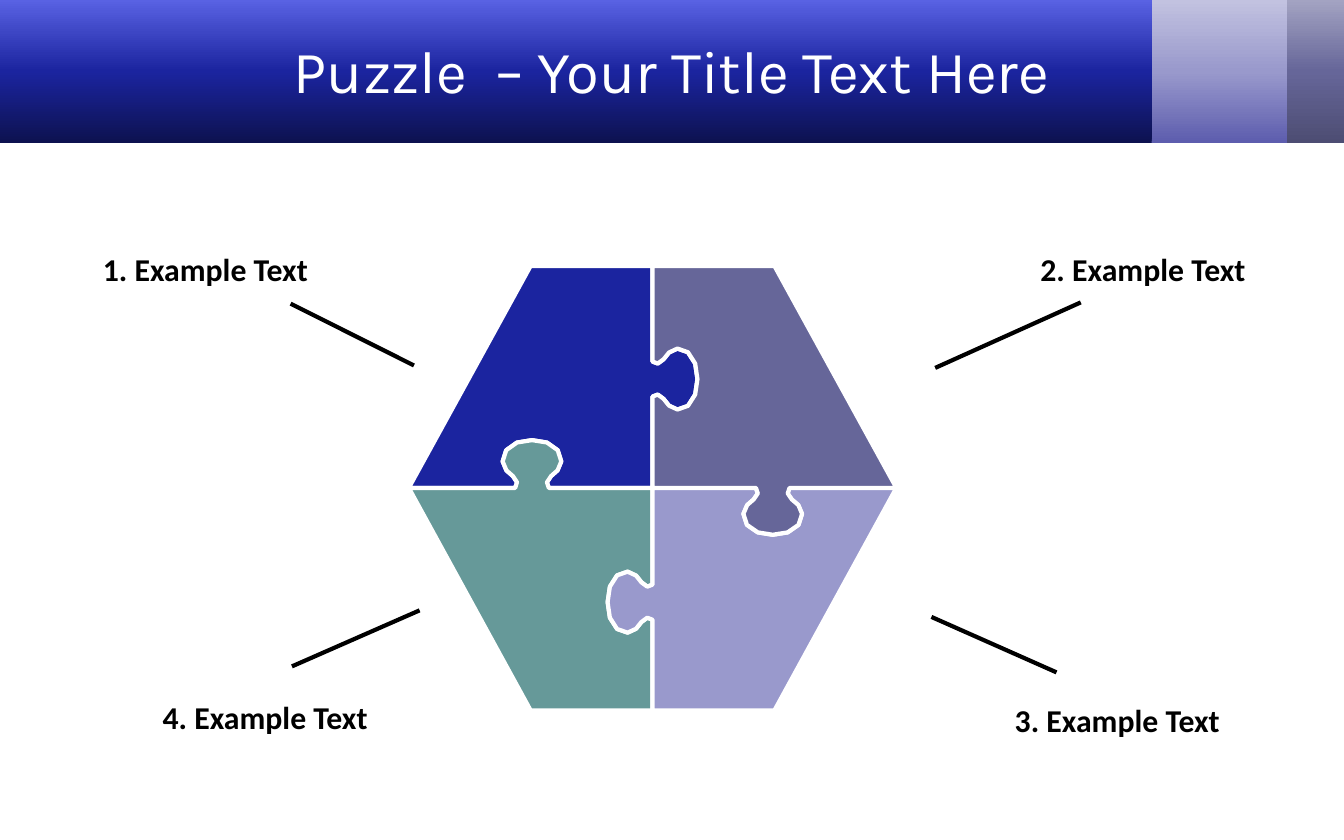
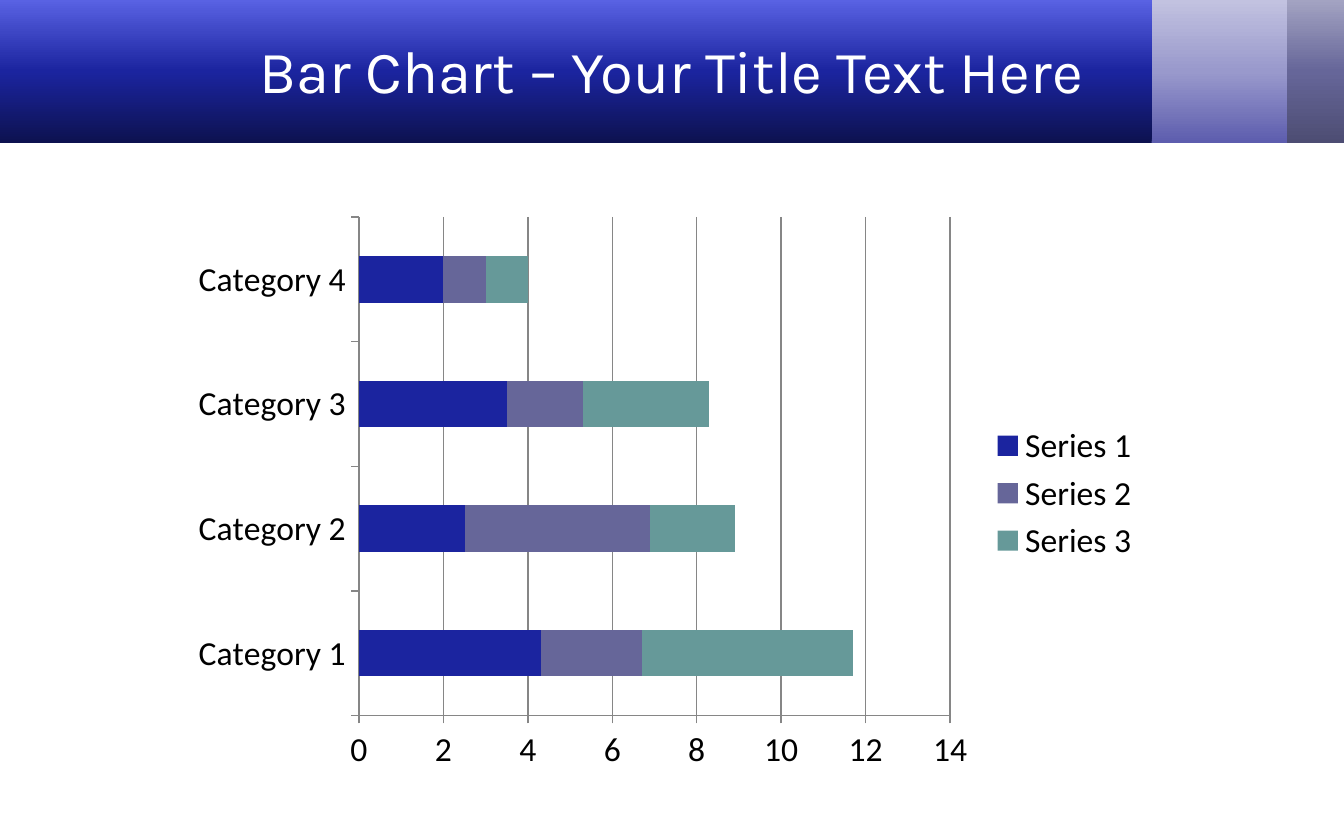
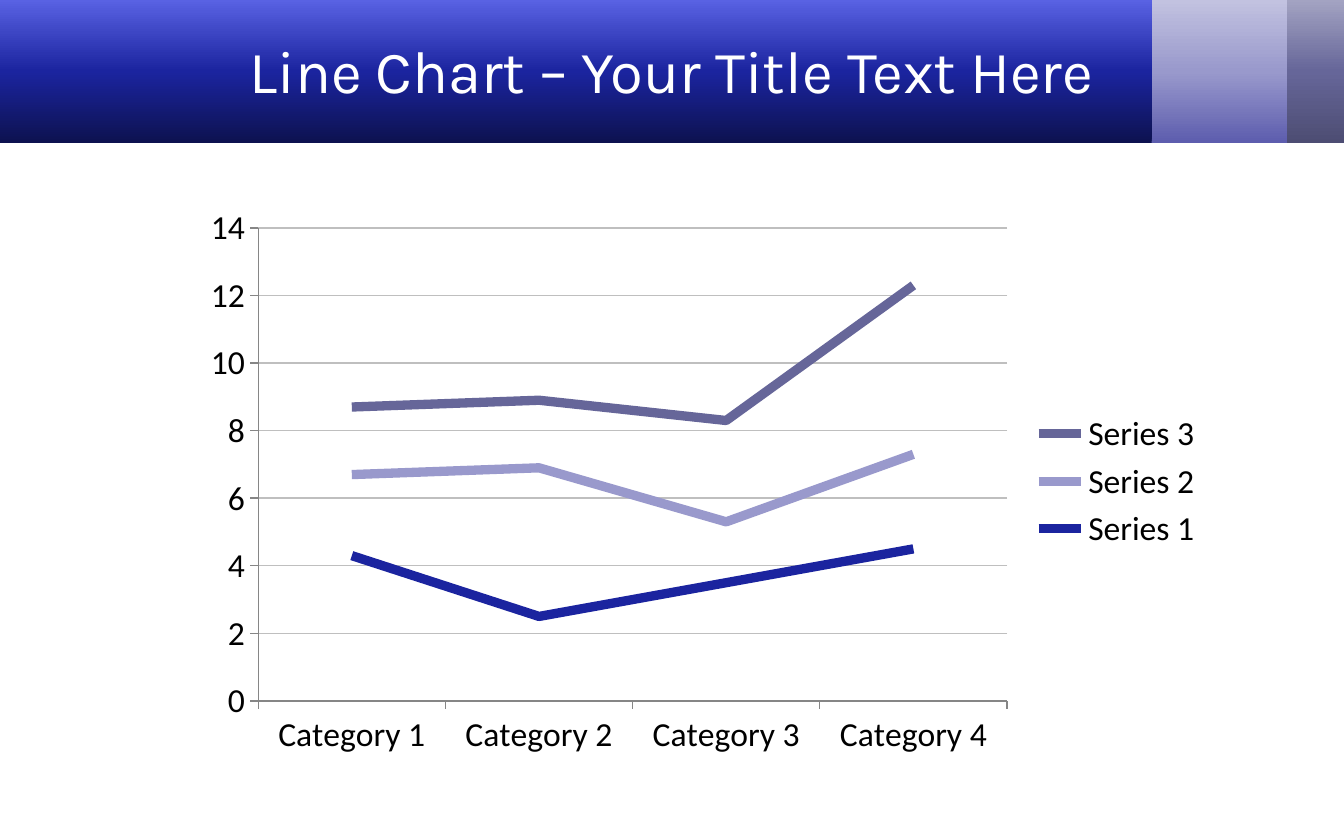
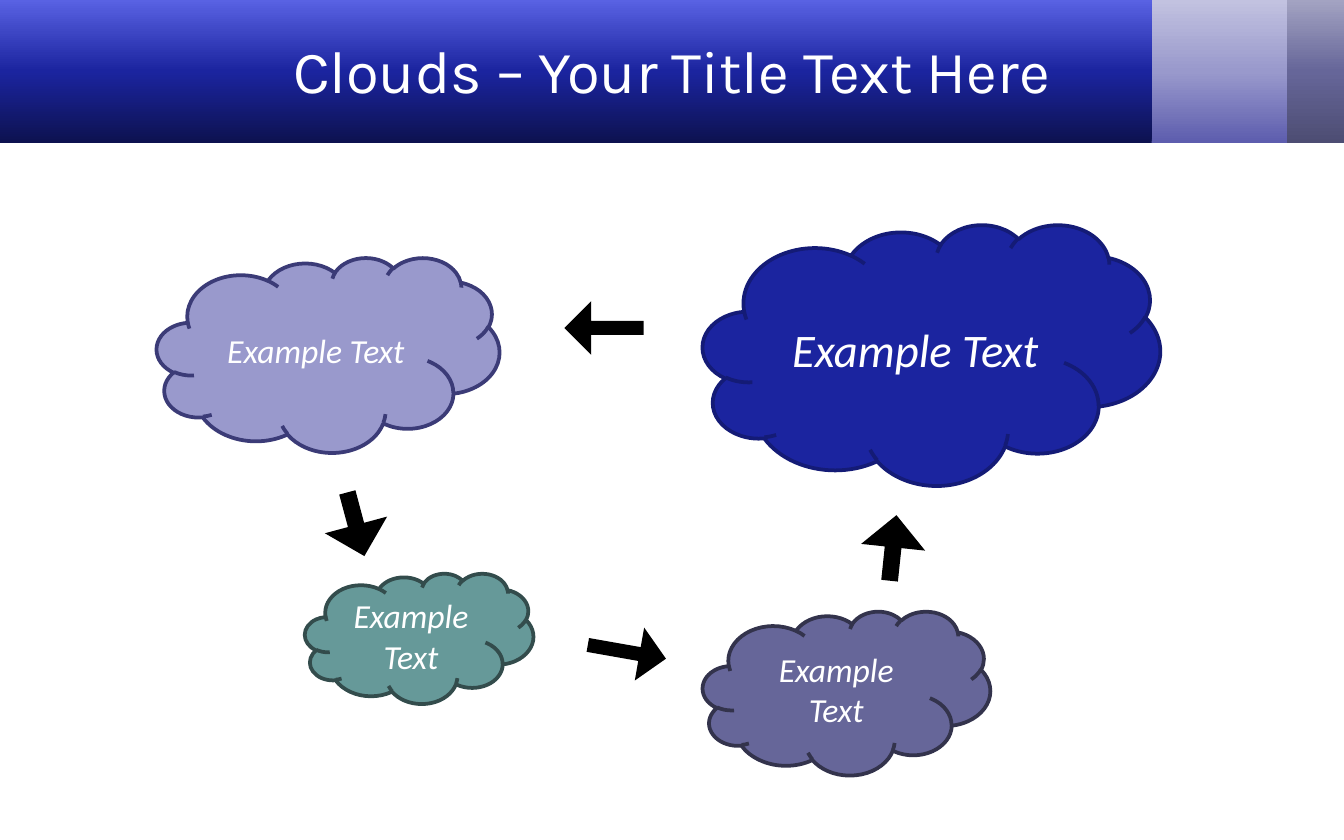
import copy

import pptx
import pptx.chart.data
import pptx.dml.color
import pptx.enum.chart
import pptx.enum.shapes
import pptx.enum.text
import pptx.oxml.ns
import pptx.util
from lxml import etree

Pt = pptx.util.Pt
RGBColor = pptx.dml.color.RGBColor
Shape = pptx.enum.shapes.MSO_SHAPE
Align = pptx.enum.text.PP_ALIGN
ChartType = pptx.enum.chart.XL_CHART_TYPE

BLACK = RGBColor(0x00, 0x00, 0x00)
WHITE = RGBColor(0xFF, 0xFF, 0xFF)
NAVY = RGBColor(0x1B, 0x24, 0x9F)
SLATE = RGBColor(0x66, 0x66, 0x99)
LAVENDER = RGBColor(0x99, 0x99, 0xCC)
TEAL = RGBColor(0x66, 0x99, 0x99)
NAVY_EDGE = RGBColor(0x14, 0x1B, 0x76)
SLATE_EDGE = RGBColor(0x33, 0x33, 0x4C)
LAVENDER_EDGE = RGBColor(0x3B, 0x3B, 0x77)
TEAL_EDGE = RGBColor(0x33, 0x4C, 0x4C)
NAVY_DARK = RGBColor(0x0D, 0x12, 0x50)
NAVY_LIGHT = RGBColor(0x59, 0x62, 0xE3)
LAVENDER_DARK = RGBColor(0x5D, 0x5D, 0xAE)
LAVENDER_LIGHT = RGBColor(0xC2, 0xC2, 0xE0)
SLATE_DARK = RGBColor(0x4D, 0x4D, 0x73)
SLATE_LIGHT = RGBColor(0xA3, 0xA3, 0xC2)
AXIS_GRAY = RGBColor(0x86, 0x86, 0x86)
GRID_GRAY = RGBColor(0xBF, 0xBF, 0xBF)

TITLE_FONT = "Karla"
BODY_FONT = "Calibri"
BAND_HEIGHT = 76.5
BANDS = [
    (679, 41, (SLATE_DARK, SLATE, SLATE_LIGHT)),
    (614, 75.5, (LAVENDER_DARK, LAVENDER, LAVENDER_LIGHT)),
    (0, 617, (NAVY_DARK, NAVY, NAVY_LIGHT)),
]
CATEGORIES = [f"Category {number}" for number in range(1, 5)]

KNOB_HALF = [(-9, 0), (-8, 3), (-10.2, 6.3), (-13.7, 9.4), (-15.7, 14.2),
             (-13.8, 20.2), (-8, 24.3), (0, 25.6)]


def write_text(shape, text, size=18, font=BODY_FONT, color=WHITE, bold=False,
               italic=False, align=Align.CENTER,
               anchor=pptx.enum.text.MSO_ANCHOR.MIDDLE):
    frame = shape.text_frame
    frame.word_wrap = True
    frame.vertical_anchor = anchor
    paragraph = frame.paragraphs[0]
    paragraph.alignment = align
    run = paragraph.add_run()
    run.text = text
    run.font.name = font
    run.font.size = Pt(size)
    run.font.bold = bold
    run.font.italic = italic
    run.font.color.rgb = color


def knob(x, y, along, out):
    profile = KNOB_HALF + [(-a, o) for a, o in KNOB_HALF[-2::-1]]
    return [(x + a * along[0] + o * out[0], y + a * along[1] + o * out[1])
            for a, o in profile]


class Deck:
    def __init__(self):
        self.presentation = pptx.Presentation()
        self.presentation.slide_width = Pt(720)
        self.presentation.slide_height = Pt(450)
        self.slide = None

    def start_slide(self, title):
        self.slide = self.presentation.slides.add_slide(
            self.presentation.slide_layouts[6])
        for left, width, colors in BANDS:
            self.gradient_band(left, width, colors)
        self.text_box(title, 36, 6, 648, 63, size=32, font=TITLE_FONT)

    def shape(self, kind, left, top, width, height, fill, edge=None):
        shape = self.slide.shapes.add_shape(
            kind, Pt(left), Pt(top), Pt(width), Pt(height))
        self.paint(shape, fill, edge, 2)
        return shape

    def paint(self, shape, fill, edge, edge_width):
        shape.shadow.inherit = False
        shape.fill.solid()
        shape.fill.fore_color.rgb = fill
        if edge is None:
            shape.line.fill.background()
        else:
            shape.line.color.rgb = edge
            shape.line.width = Pt(edge_width)

    def gradient_band(self, left, width, colors):
        band = self.shape(Shape.RECTANGLE, left, 0, width, BAND_HEIGHT, colors[1])
        band.fill.gradient()
        band.fill.gradient_angle = 90
        stop_list = band._element.spPr.find(".//" + pptx.oxml.ns.qn("a:gsLst"))
        stop_list.append(copy.deepcopy(stop_list[0]))
        for stop, color, position in zip(band.fill.gradient_stops, colors, (0, 0.5, 1)):
            stop.color.rgb = color
            stop.position = position

    def text_box(self, text, left, top, width, height, **text_format):
        box = self.slide.shapes.add_textbox(
            Pt(left), Pt(top), Pt(width), Pt(height))
        write_text(box, text, **text_format)
        return box

    def label(self, text, left, top):
        box = self.text_box(text, left, top, 129, 28, size=17, color=BLACK,
                            bold=True, align=Align.JUSTIFY,
                            anchor=pptx.enum.text.MSO_ANCHOR.TOP)
        box.text_frame.auto_size = pptx.enum.text.MSO_AUTO_SIZE.SHAPE_TO_FIT_TEXT

    def line(self, start, end):
        connector = self.slide.shapes.add_connector(
            pptx.enum.shapes.MSO_CONNECTOR.STRAIGHT,
            *(Pt(value) for value in (*start, *end)))
        connector.line.color.rgb = BLACK
        connector.line.width = Pt(2.25)
        etree.SubElement(connector._element.spPr, pptx.oxml.ns.qn("a:effectLst"))

    def puzzle(self, pieces):
        group = self.slide.shapes.add_group_shape()
        for color, points in pieces:
            outline = [(Pt(x), Pt(y)) for x, y in points]
            builder = group.shapes.build_freeform(*outline[0])
            builder.add_line_segments(outline[1:], close=True)
            self.paint(builder.convert_to_shape(), color, WHITE, 2.25)

    def cloud(self, left, top, width, height, fill, edge, size=18):
        cloud = self.shape(Shape.CLOUD, left, top, width, height, fill, edge)
        write_text(cloud, "Example Text", size=size, italic=True)

    def arrow(self, left, top, width, height, rotation):
        arrow = self.shape(Shape.RIGHT_ARROW, left, top, width, height, BLACK)
        arrow.adjustments[0] = 0.26
        arrow.adjustments[1] = 0.5
        arrow.rotation = rotation

    def chart(self, kind, left, top, width, height, series_rows, grid_color):
        data = pptx.chart.data.CategoryChartData()
        data.categories = CATEGORIES
        for number, (values, _) in enumerate(series_rows, 1):
            data.add_series(f"Series {number}", values)
        chart = self.slide.shapes.add_chart(
            kind, Pt(left), Pt(top), Pt(width), Pt(height), data).chart
        chart.has_title = False
        chart.font.name = BODY_FONT
        chart.font.size = Pt(18)
        chart.font.color.rgb = BLACK
        chart.has_legend = True
        chart.legend.position = pptx.enum.chart.XL_LEGEND_POSITION.RIGHT
        chart.legend.include_in_layout = False
        for axis in (chart.category_axis, chart.value_axis):
            axis.major_tick_mark = pptx.enum.chart.XL_TICK_MARK.OUTSIDE
            axis.format.line.color.rgb = AXIS_GRAY
            axis.format.line.width = Pt(0.75)
        chart.category_axis.has_major_gridlines = False
        chart.value_axis.has_major_gridlines = True
        grid_line = chart.value_axis.major_gridlines.format.line
        grid_line.color.rgb = grid_color
        grid_line.width = Pt(0.75)
        plot = chart.plots[0]
        plot.vary_by_categories = False
        for series, (_, color) in zip(plot.series, series_rows):
            if kind == ChartType.LINE_STACKED:
                series.smooth = False
                series.format.line.color.rgb = color
                series.format.line.width = Pt(5)
            else:
                series.format.fill.solid()
                series.format.fill.fore_color.rgb = color
        return plot


def puzzle_pieces():
    left, inner_left, middle_x, inner_right, right = 219, 284.3, 349.6, 414.9, 480.2
    top, middle_y, bottom = 142.5, 261.4, 380.6
    center = (middle_x, middle_y)
    west, east = (left, middle_y), (right, middle_y)
    north, south = (middle_x, top), (middle_x, bottom)
    north_knob = knob(middle_x, 203.1, (0, 1.04), (0.94, 0))
    south_knob = knob(middle_x, 322.6, (0, 1.04), (-0.94, 0))
    west_knob = knob(285, middle_y, (1, 0), (0, -1))
    east_knob = knob(414, middle_y, (1, 0), (0, 0.98))
    return [
        (NAVY, [west, (inner_left, top), north, *north_knob, center, *west_knob[::-1]]),
        (TEAL, [west, *west_knob, center, *south_knob, south, (inner_left, bottom)]),
        (LAVENDER, [center, *east_knob, east, (inner_right, bottom), south,
                    *south_knob[::-1]]),
        (SLATE, [north, (inner_right, top), east, *east_knob[::-1], center,
                 *north_knob[::-1]]),
    ]


def main():
    deck = Deck()

    deck.start_slide("Puzzle  – Your Title Text Here")
    label_places = [(48, 130.5), (550.3, 130.5), (536.5, 372), (80, 370.3)]
    for number, (left, top) in enumerate(label_places, 1):
        deck.label(f"{number}. Example Text", left, top)
    deck.puzzle(puzzle_pieces())
    for start, end in [((155.7, 162.7), (221.8, 195.8)),
                       ((499, 330.5), (566, 360.2)),
                       ((156.4, 357), (224.8, 327)),
                       ((501, 197.1), (579, 162))]:
        deck.line(start, end)

    deck.start_slide("Bar Chart – Your Title Text Here")
    bars = deck.chart(ChartType.BAR_STACKED, 96, 110.1, 522, 308.3, [
        ((4.3, 2.5, 3.5, 2), NAVY),
        ((2.4, 4.4, 1.8, 1), SLATE),
        ((5, 2, 3, 1), TEAL),
    ], AXIS_GRAY)
    bars.gap_width = 168
    bars.overlap = 100

    deck.start_slide("Line Chart – Your Title Text Here")
    deck.chart(ChartType.LINE_STACKED, 102, 105.1, 549.8, 305.4, [
        ((4.3, 2.5, 3.5, 4.5), NAVY),
        ((2.4, 4.4, 1.8, 2.8), LAVENDER),
        ((2, 2, 3, 5), SLATE),
    ], GRID_GRAY)

    deck.start_slide("Clouds – Your Title Text Here")
    deck.cloud(84, 137.9, 183.6, 104.4, LAVENDER, LAVENDER_EDGE)
    deck.cloud(376.5, 120.2, 245, 139.7, NAVY, NAVY_EDGE, size=25)
    deck.cloud(163.4, 307.2, 122.4, 69.8, TEAL, TEAL_EDGE)
    deck.cloud(376.5, 327.4, 154, 87.8, SLATE, SLATE_EDGE)
    deck.arrow(302.3, 161.3, 42.5, 28.8, 180)
    deck.arrow(173, 263.6, 35.3, 34.5, 75)
    deck.arrow(314.6, 334.8, 42.5, 28.8, 10)
    deck.arrow(460.8, 276.3, 35.3, 34.5, 276)

    deck.presentation.save("out.pptx")


if __name__ == "__main__":
    main()
